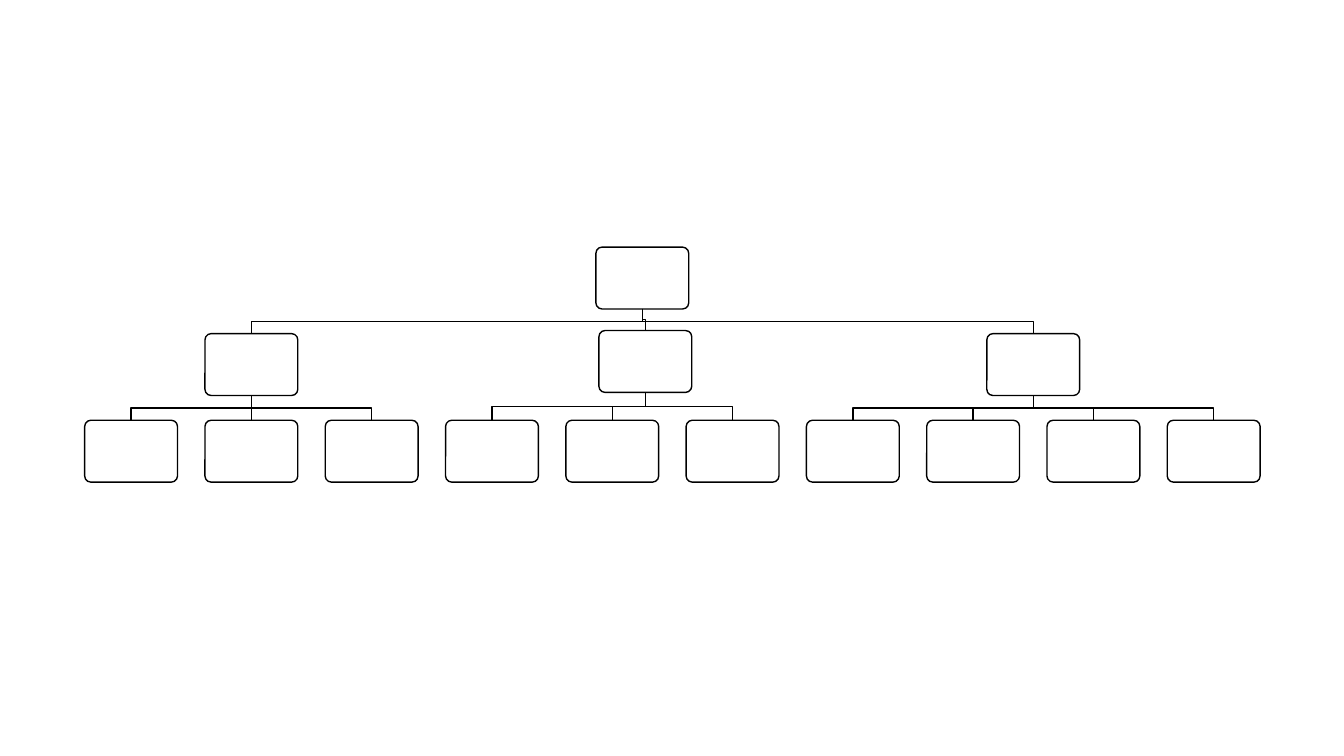
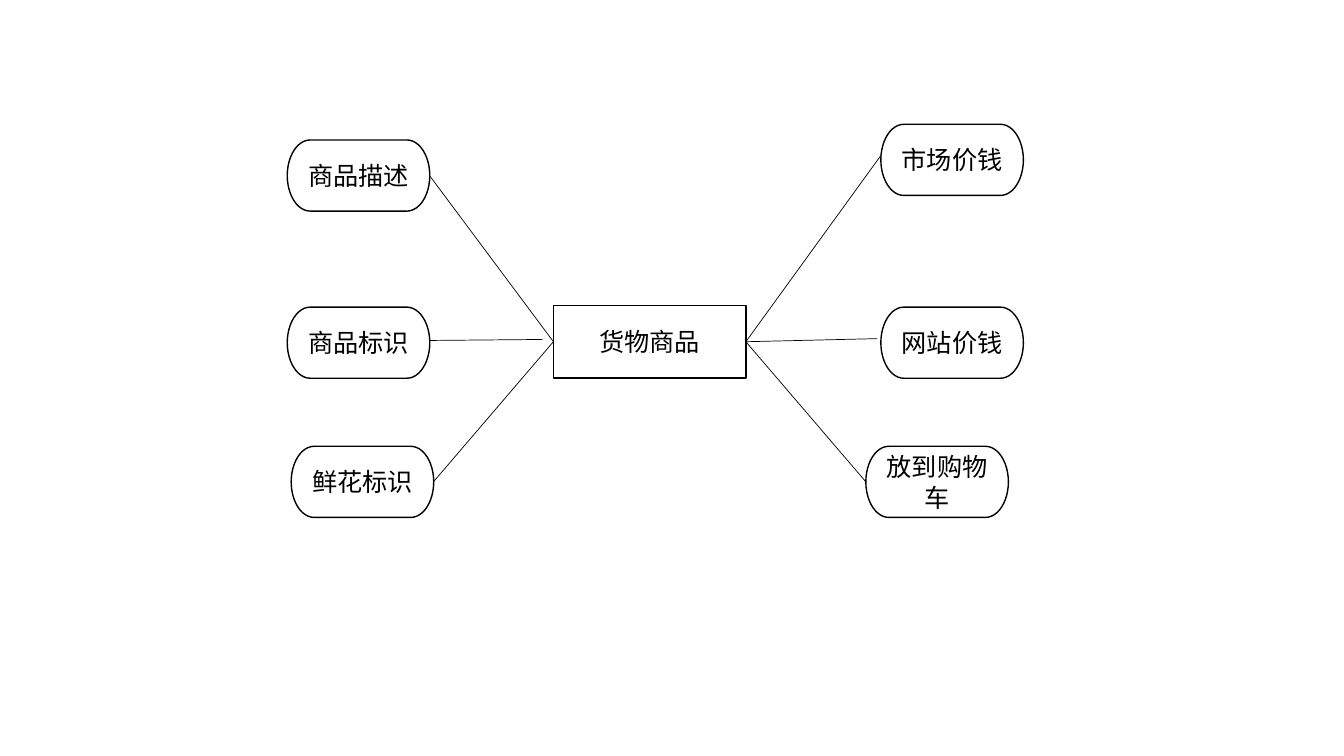
import pptx
import pptx.dml.color
import pptx.enum.shapes
import pptx.enum.text
import pptx.oxml.ns
import pptx.util
import lxml.etree

Pt = pptx.util.Pt
KIND = pptx.enum.shapes.MSO_SHAPE
FONT, INK, PAPER = "Noto Sans CJK SC", "000000", "FFFFFF"

# Tree: size of a box, the row of leaves, and (first leaf, last leaf, shift, top) per branch
BOX_W, BOX_H = 66.3, 44.2
LEAF_X, LEAF_Y, PITCH = 60.5, 300.2, 85.92
ROOT_Y = 176.5
BRANCHES = [(0, 2, 0, 238.3), (3, 5, 23.8 - PITCH / 2 + 20, 236.1), (6, 9, 0, 238.3)]
MID_X = 427.8

# Star: hub box, then (text, left, top, line end at hub, line end at node)
HUB = ("货物商品", 395.3, 218.2, 137.5, 51.9)
WEST, EAST = (395.3, 244.1), (532.8, 244.1)
NODE_W, NODE_H = 101.8, 50.8
NODES = [
    ("商品标识", 205.2, 219.4, (387.4, 242.5), (306.7, 243.2)),
    ("商品描述", 205.2, 100, WEST, (306.9, 125.5)),
    ("鲜花标识", 208, 318.8, WEST, (309.6, 344.2)),
    ("市场价钱", 629.2, 88.8, EAST, (629.2, 111.1)),
    ("网站价钱", 629.2, 219.4, EAST, (626.6, 241.9)),
    ("放到购物车", 618.5, 318.8, EAST, (618.5, 344.2)),
]


def color(code):
    """Turn a hex string into a colour."""
    return pptx.dml.color.RGBColor.from_string(code)


def stroke(line, width):
    """Give a line its colour and width."""
    line.color.rgb = color(INK)
    line.width = Pt(width)


def block(slide, kind, x, y, w, h, text=""):
    """Add a white outlined shape, with centred text if there is any."""
    shape = slide.shapes.add_shape(kind, Pt(x), Pt(y), Pt(w), Pt(h))
    shape.shadow.inherit = False
    shape.fill.solid()
    shape.fill.fore_color.rgb = color(PAPER)
    stroke(shape.line, 1)
    if text:
        frame = shape.text_frame
        frame.word_wrap = True
        frame.vertical_anchor = pptx.enum.text.MSO_ANCHOR.MIDDLE
        para = frame.paragraphs[0]
        para.text = text
        para.alignment = pptx.enum.text.PP_ALIGN.CENTER
        para.font.size = Pt(18)
        para.font.name = FONT
        para.font.color.rgb = color(INK)
        qn = pptx.oxml.ns.qn
        props = para._p.get_or_add_pPr().find(qn("a:defRPr"))
        lxml.etree.SubElement(props, qn("a:ea"), typeface=FONT)
    return shape


def link(slide, start, end, width):
    """Draw a straight line between two points."""
    kind = pptx.enum.shapes.MSO_CONNECTOR.STRAIGHT
    line = slide.shapes.add_connector(kind, *map(Pt, start + end))
    stroke(line.line, width)
    lxml.etree.SubElement(line._element.spPr, pptx.oxml.ns.qn("a:effectLst"))


def elbow(slide, start, end):
    """Draw a line that goes down, across and down again."""
    (x, y), (far, low) = start, end
    if x == far:
        link(slide, start, end, 1)
        return
    mid = (y + low) / 2
    pen = slide.shapes.build_freeform(Pt(x), Pt(y))
    spots = [(x, mid), (far, mid), end]
    pen.add_line_segments([(Pt(a), Pt(b)) for a, b in spots], close=False)
    shape = pen.convert_to_shape()
    shape.shadow.inherit = False
    shape.fill.background()
    stroke(shape.line, 1)


def box(slide, x, y):
    """Add one empty box of the tree."""
    block(slide, KIND.ROUNDED_RECTANGLE, x, y, BOX_W, BOX_H).adjustments[0] = 0.1


def tree(slide):
    """Draw the root, its branches and their leaves."""
    half = BOX_W / 2
    spans = [LEAF_X + (a + b) / 2 * PITCH for a, b, _, _ in BRANCHES]
    root = (spans[0] + spans[-1]) / 2
    spans[1] = MID_X
    box(slide, root, ROOT_Y)
    for x, (first, last, _, top) in zip(spans, BRANCHES):
        elbow(slide, (root + half, ROOT_Y + BOX_H), (x + half, top))
        box(slide, x, top)
        for spot in range(first, last + 1):
            leaf = LEAF_X + spot * PITCH
            elbow(slide, (x + half, top + BOX_H), (leaf + half, LEAF_Y))
            box(slide, leaf, LEAF_Y)


def star(slide):
    """Draw the hub, the lines and the nodes around it."""
    text, *place = HUB
    block(slide, KIND.RECTANGLE, *place, text)
    for _, _, _, near, far in NODES:
        link(slide, near, far, 0.5)
    for text, x, y, _, _ in NODES:
        block(slide, KIND.FLOWCHART_TERMINATOR, x, y, NODE_W, NODE_H, text)


deck = pptx.Presentation()
deck.slide_width, deck.slide_height = Pt(960), Pt(540)
for draw in (tree, star):
    draw(deck.slides.add_slide(deck.slide_layouts[6]))
deck.save("out.pptx")
